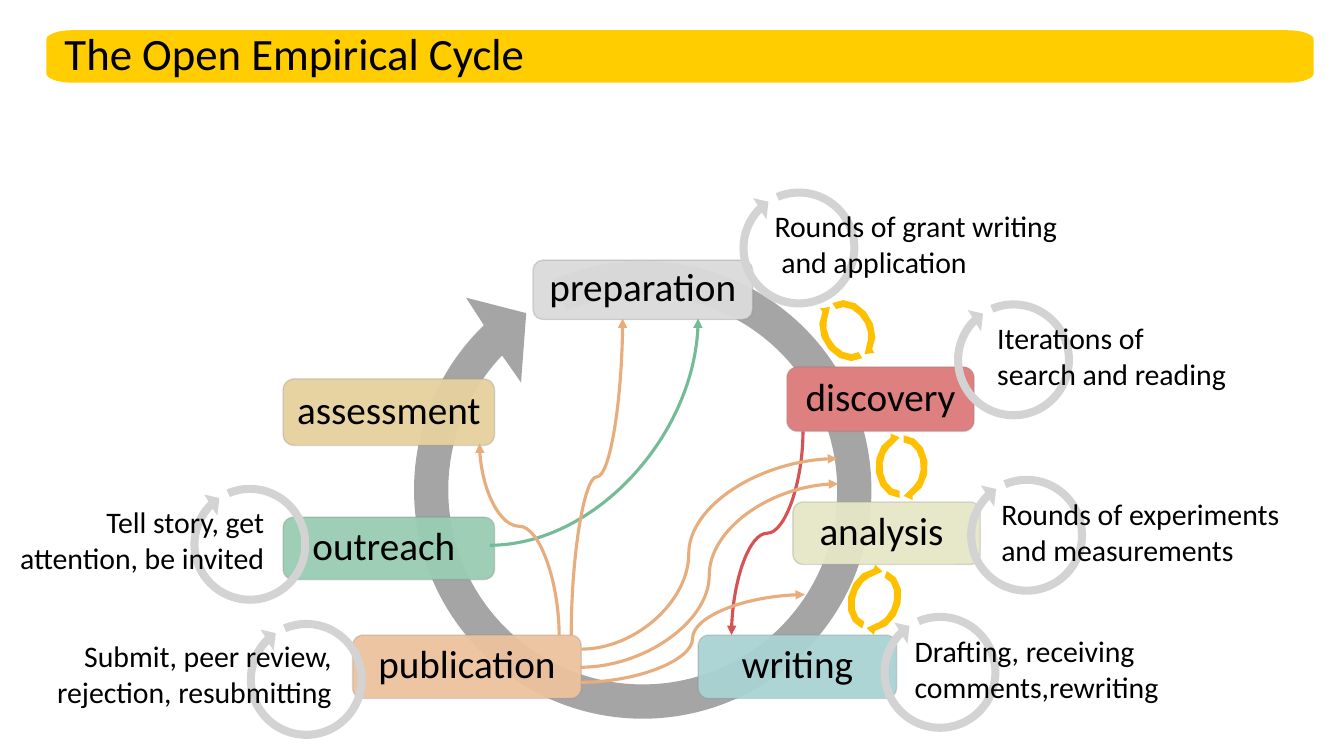
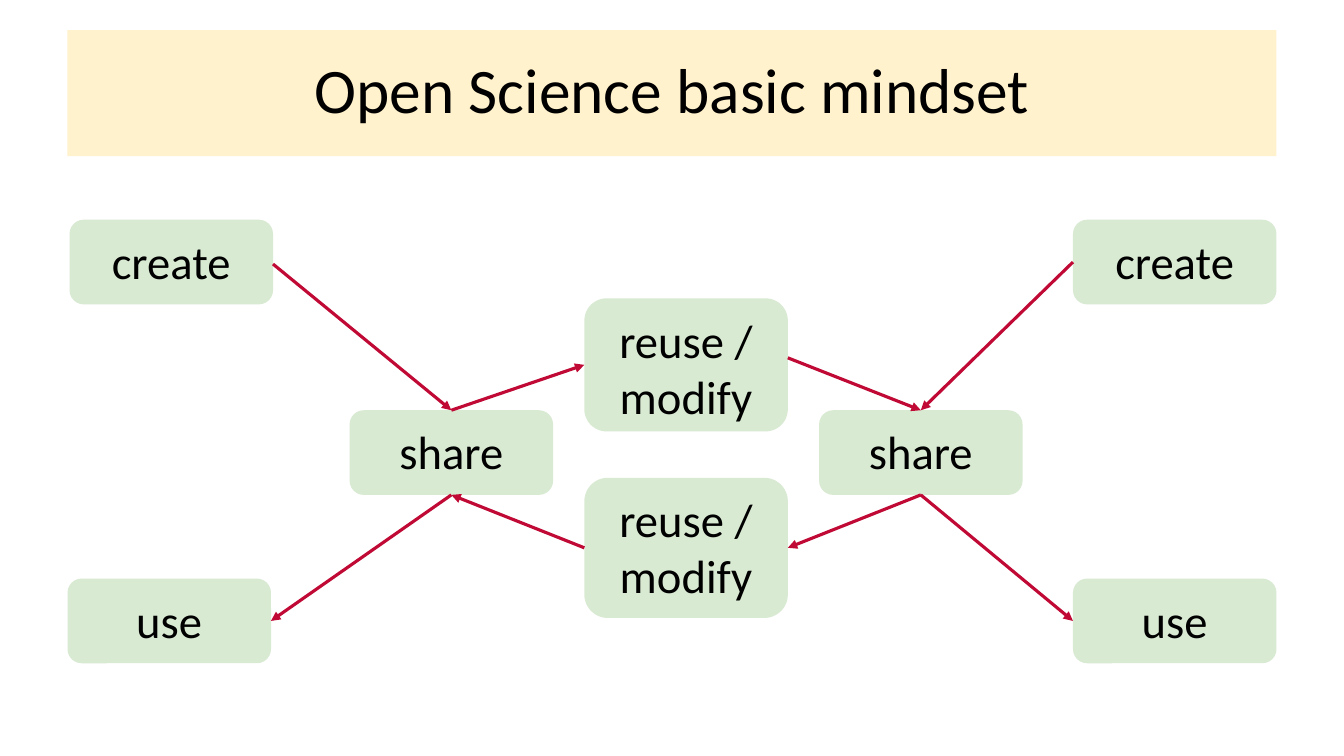
from dataclasses import dataclass
from math import cos, radians, sin

from lxml import etree
from pptx import Presentation
from pptx.dml.color import RGBColor
from pptx.enum.shapes import MSO_CONNECTOR, MSO_SHAPE
from pptx.enum.text import MSO_ANCHOR, PP_ALIGN
from pptx.oxml.ns import qn
from pptx.util import Inches, Pt

RECT, ROUNDED = MSO_SHAPE.RECTANGLE, MSO_SHAPE.ROUNDED_RECTANGLE
STRAIGHT, CURVE = MSO_CONNECTOR.STRAIGHT, MSO_CONNECTOR.CURVE
LEFT, CENTER, RIGHT = PP_ALIGN.LEFT, PP_ALIGN.CENTER, PP_ALIGN.RIGHT
TOP, MIDDLE = MSO_ANCHOR.TOP, MSO_ANCHOR.MIDDLE


@dataclass(frozen=True)
class Theme:
    font: str = "Calibri"
    ink: str = "000000"
    band: str = "FFCD00"
    banner: str = "FFF2CC"
    node: str = "D9EAD3"
    arrow: str = "C00935"
    cycle: str = "A5A5A5"
    ring: str = "D3D3D3"
    loop: str = "FFC000"
    border: str = "7B7B7B"
    feedback: str = "E7AD7D"
    outreach: str = "76BB98"
    rewrite: str = "D45454"
    band_size: float = 32
    banner_size: float = 45.3
    stage_size: float = 28
    note_size: float = 21.3
    node_size: float = 33.3
    line_width: float = 2.25
    corner: float = 0.167


T = Theme()


# ---- Basic elements ----
def put_text(shape, text, size, align=LEFT, anchor=TOP,
             insets=(0.1, 0.05, 0.1, 0.05), spacing=None):
    """Write text, one paragraph a line; insets are left, top, right, bottom."""
    tf = shape.text_frame
    tf.word_wrap = True
    tf.vertical_anchor = anchor
    (tf.margin_left, tf.margin_top,
     tf.margin_right, tf.margin_bottom) = map(Inches, insets)
    for i, line in enumerate(text.split("\n")):
        p = tf.add_paragraph() if i else tf.paragraphs[0]
        p.alignment = align
        if spacing:
            p.line_spacing = spacing
        r = p.add_run()
        r.text = line
        r.font.name = T.font
        r.font.size = Pt(size)
        r.font.color.rgb = RGBColor.from_string(T.ink)


def paint(shape, fill):
    shape.shadow.inherit = False
    shape.fill.solid()
    shape.fill.fore_color.rgb = RGBColor.from_string(fill)
    shape.line.fill.background()
    return shape


def add_box(s, kind, box, fill):
    shape = paint(s.shapes.add_shape(kind, *map(Inches, box)), fill)
    if kind == ROUNDED:
        shape.adjustments[0] = T.corner
    return shape


def set_alpha(color, percent):
    etree.SubElement(color, qn("a:alpha")).set("val", str(percent * 1000))


def add_arrow(s, start, end, color, kind=STRAIGHT):
    c = s.shapes.add_connector(kind, *map(Inches, (*start, *end)))
    c.line.color.rgb = RGBColor.from_string(color)
    c.line.width = Pt(T.line_width)
    sp_pr = c._element.spPr
    etree.SubElement(sp_pr.find(qn("a:ln")), qn("a:tailEnd")).set("type", "triangle")
    etree.SubElement(sp_pr, qn("a:effectLst"))
    return c


def add_curve(s, start, end, color, bend=0.5, vertical=False, quarter=False):
    """Curved arrow; a vertical one leaves and arrives upright."""
    if vertical:
        (x0, y0), (x1, y1) = start, end
        down = y1 > y0
        cx, cy = (x0 + x1) / 2, (y0 + y1) / 2
        half_w = abs(y1 - y0) / 2
        half_h = (x0 - x1 if down else x1 - x0) / 2
        start, end = (cx - half_w, cy - half_h), (cx + half_w, cy + half_h)
    c = add_arrow(s, start, end, color, CURVE)
    sp_pr = c._element.spPr
    if vertical:
        sp_pr.find(qn("a:xfrm")).set("rot", str((90 if down else 270) * 60000))
    geom = sp_pr.find(qn("a:prstGeom"))
    if quarter:
        geom.set("prst", "curvedConnector2")
    elif bend != 0.5:
        gd = etree.SubElement(geom.find(qn("a:avLst")), qn("a:gd"))
        gd.set("name", "adj1")
        gd.set("fmla", f"val {round(bend * 100000)}")


# ---- Round outlines ----
@dataclass(frozen=True)
class Arc:
    cx: float
    cy: float
    rx: float
    ry: float
    first: float
    last: float

    def at(self, degrees):
        a = radians(degrees)
        return self.cx + self.rx * cos(a), self.cy + self.ry * sin(a)

    def points(self):
        """Both ends and the outermost points between them."""
        low, high = sorted((self.first, self.last))
        stops = [a for a in range(0, 721, 90) if low < a < high]
        if self.first > self.last:
            stops.reverse()
        return [self.at(a) for a in (self.first, *stops, self.last)]

    def steps(self, count):
        gap = (self.last - self.first) / count
        return [self.at(self.first + gap * i) for i in range(count + 1)]


def add_outline(s, parts, fill):
    """Draw a filled closed outline; each part is a point in inches or an Arc."""
    pts, arcs = [], []
    for part in parts:
        new = part.points() if isinstance(part, Arc) else [part]
        if isinstance(part, Arc):
            arcs.append((part, len(pts), len(pts) + len(new) - 1))
        pts += new
    pts = [(Inches(x), Inches(y)) for x, y in pts]
    builder = s.shapes.build_freeform(*pts[0], scale=1.0)
    builder.add_line_segments(pts[1:], close=True)
    shape = builder.convert_to_shape()

    # Replace the chords of each arc by one true arc
    outline = next(shape._element.iter(qn("a:path")))
    moves = list(outline)
    for arc, i, j in arcs:
        curve = etree.Element(qn("a:arcTo"))
        for name, value in (("wR", Inches(arc.rx)), ("hR", Inches(arc.ry)),
                            ("stAng", arc.first % 360 * 60000),
                            ("swAng", (arc.last - arc.first) * 60000)):
            curve.set(name, str(round(value)))
        moves[i].addnext(curve)
        for chord in moves[i + 1:j + 1]:
            outline.remove(chord)
    return paint(shape, fill)


def add_ring(s, cx, cy, outer, inner, wing, fill):
    """Nearly full circle that ends in an arrowhead."""
    head = [Arc(cx, cy, r, r, 0, 0).at(a) for r, a in
            ((outer + wing, 227.4), ((outer + inner) / 2, 236.6),
             (inner - wing, 221.4))]
    add_outline(s, [Arc(cx, cy, outer, outer, 247, 586), *head,
                    Arc(cx, cy, inner, inner, 583.7, 247)], fill)


def add_loop(s, cx, cy, turn):
    """Two facing half-ellipse arrows, turned about their common centre."""
    half = (Arc(-0.02, 0, 0.24, 0.31, 90, 248).steps(6)
            + [(-0.11, -0.33), (-0.02, -0.29), (-0.11, -0.2)]
            + Arc(-0.02, 0, 0.17, 0.24, 237, 90).steps(6))
    for angle in (turn, turn + 180):
        ca, sa = cos(radians(angle)), sin(radians(angle))
        add_outline(s, [(cx + x * ca - y * sa, cy + x * sa + y * ca)
                        for x, y in half], T.loop)


# ---- Parts of the cycle slide ----
def add_band(s, text):
    x, y, w, h, rx, ry = 0.46, 0.3, 12.58, 0.52, 0.26, 0.09
    corners = ((x + rx, y + ry, 180), (x + w - rx, y + ry, 270),
               (x + w - rx, y + h - ry, 0), (x + rx, y + h - ry, 90))
    band = add_outline(s, [Arc(cx, cy, rx, ry, a, a + 90) for cx, cy, a in corners],
                       T.band)
    put_text(band, text, T.band_size, anchor=MIDDLE,
             insets=(0.18, 0.03, 0.18, 0.03), spacing=0.9)


def add_stage(s, text, box, fill, opacity=95, shift=0):
    shape = add_box(s, ROUNDED, box, fill)
    shape.line.color.rgb = RGBColor.from_string(T.border)
    shape.line.width = Pt(1)
    fill_color, line_color = shape._element.spPr.iter(qn("a:srgbClr"))
    if opacity < 100:
        set_alpha(fill_color, opacity)
    set_alpha(line_color, 25)
    put_text(shape, text, T.stage_size, CENTER, MIDDLE,
             (0.02, 0, 0.02 + 2 * shift, 0.07))


def add_note(s, text, x, y, w, align=LEFT):
    put_text(s.shapes.add_textbox(*map(Inches, (x, y, w, 0.91))),
             text, T.note_size, align)


def build_cycle(s):
    add_ring(s, 6.38, 4.86, 2.27, 1.93, 0.32, T.cycle)

    # Stages
    add_stage(s, "preparation", (5.29, 2.58, 2.18, 0.59), "DBDBDB")
    add_stage(s, "discovery", (7.81, 3.64, 1.86, 0.64), "DF8080", opacity=100)
    add_stage(s, "analysis", (7.87, 4.98, 1.86, 0.62), "E6E6C7", shift=0.05)
    add_stage(s, "writing", (6.93, 6.3, 1.97, 0.63), "A9D3D3")
    add_stage(s, "publication", (3.5, 6.3, 2.27, 0.63), "EDC29E")
    add_stage(s, "outreach", (2.81, 5.13, 2.1, 0.62), "99CCB3", shift=0.05)
    add_stage(s, "assessment", (2.81, 3.76, 2.1, 0.66), "E6D19E")

    # Side rings and their notes
    for cx, cy in ((3.04, 6.74), (7.93, 2.46), (10.06, 3.57),
                   (10.19, 5.31), (9.33, 6.67), (2.48, 5.4)):
        add_ring(s, cx, cy, 0.59, 0.51, 0.08, T.ring)
    add_note(s, "Rounds of grant writing\n and application", 7.59, 2.01, 3.53)
    add_note(s, "Iterations of\nsearch and reading", 9.8, 3.12, 2.9)
    add_note(s, "Drafting, receiving comments,rewriting", 8.98, 6.23, 3.15)
    add_note(s, "Submit, peer review, rejection, resubmitting", 0.08, 6.28, 3.31, RIGHT)
    add_note(s, "Rounds of experiments and measurements", 9.84, 4.87, 3.39)
    add_note(s, "Tell story, get attention, be invited", 0, 4.95, 2.72, RIGHT)

    # Loops between neighbouring stages
    for cx, cy, turn in ((8.95, 4.63, 0), (8.41, 3.28, -32.3), (8.68, 5.95, 19.7)):
        add_loop(s, cx, cy, turn)

    # Feedback arrows
    add_curve(s, (4.86, 5.41), (6.93, 3.16), T.outreach, quarter=True)
    add_curve(s, (7.97, 4.28), (7.26, 6.3), T.rewrite, vertical=True)
    add_curve(s, (5.76, 6.62), (8.32, 4.8), T.feedback)
    add_curve(s, (5.77, 6.44), (8.31, 4.55), T.feedback, bend=0.42)
    add_curve(s, (5.67, 6.3), (6.18, 3.16), T.feedback, vertical=True)
    add_curve(s, (5.55, 6.31), (4.76, 4.4), T.feedback, bend=0.57, vertical=True)
    add_curve(s, (5.76, 6.77), (7.99, 5.9), T.feedback)

    add_band(s, "The Open Empirical Cycle")


# ---- Parts of the mindset slide ----
def add_node(s, text, x, y, h=0.84):
    box = (x, y, 2.02, h)
    inset = 0.13 - 0.29 * T.corner * h
    put_text(add_box(s, ROUNDED, box, T.node), text, T.node_size, CENTER,
             insets=(0.1, inset, 0.1, 0))
    return box


def side(box, name, dy=0):
    """Middle of one side of a box."""
    x, y, w, h = box
    fx, fy = {"left": (0, 0.5), "right": (1, 0.5),
              "top": (0.5, 0), "bottom": (0.5, 1)}[name]
    return x + fx * w, y + fy * h + dy


def build_mindset(s):
    put_text(add_box(s, RECT, (0.67, 0.3, 12, 1.25), T.banner),
             "Open Science basic mindset", T.banner_size, CENTER, MIDDLE,
             (0.16, 0.08, 0.16, 0.08), 0.9)

    # Nodes
    create_l, create_r = [add_node(s, "create", x, 2.18) for x in (0.69, 10.65)]
    share_l, share_r = [add_node(s, "share", x, 4.07) for x in (3.47, 8.13)]
    use_l, use_r = [add_node(s, "use", x, 5.74) for x in (0.67, 10.65)]
    reuse_low = add_node(s, "reuse / modify", 5.8, 4.74, 1.39)
    reuse_top = add_node(s, "reuse / modify", 5.8, 2.96, 1.32)

    # Flow
    for start, end in (
            (side(create_l, "right", 0.02), side(share_l, "top")),
            (side(share_l, "bottom"), side(use_l, "right")),
            (side(share_l, "top"), side(reuse_top, "left")),
            (side(reuse_top, "right", -0.07), side(share_r, "top")),
            (side(share_r, "bottom"), side(reuse_low, "right")),
            (side(reuse_low, "left"), side(share_l, "bottom")),
            (side(share_r, "bottom"), side(use_r, "left")),
            (side(create_r, "left"), side(share_r, "top"))):
        add_arrow(s, start, end, T.arrow)


def main():
    prs = Presentation()
    prs.slide_width, prs.slide_height = Inches(13.34), Inches(7.5)
    for build in (build_cycle, build_mindset):
        build(prs.slides.add_slide(prs.slide_layouts[6]))
    prs.save("out.pptx")


if __name__ == "__main__":
    main()
